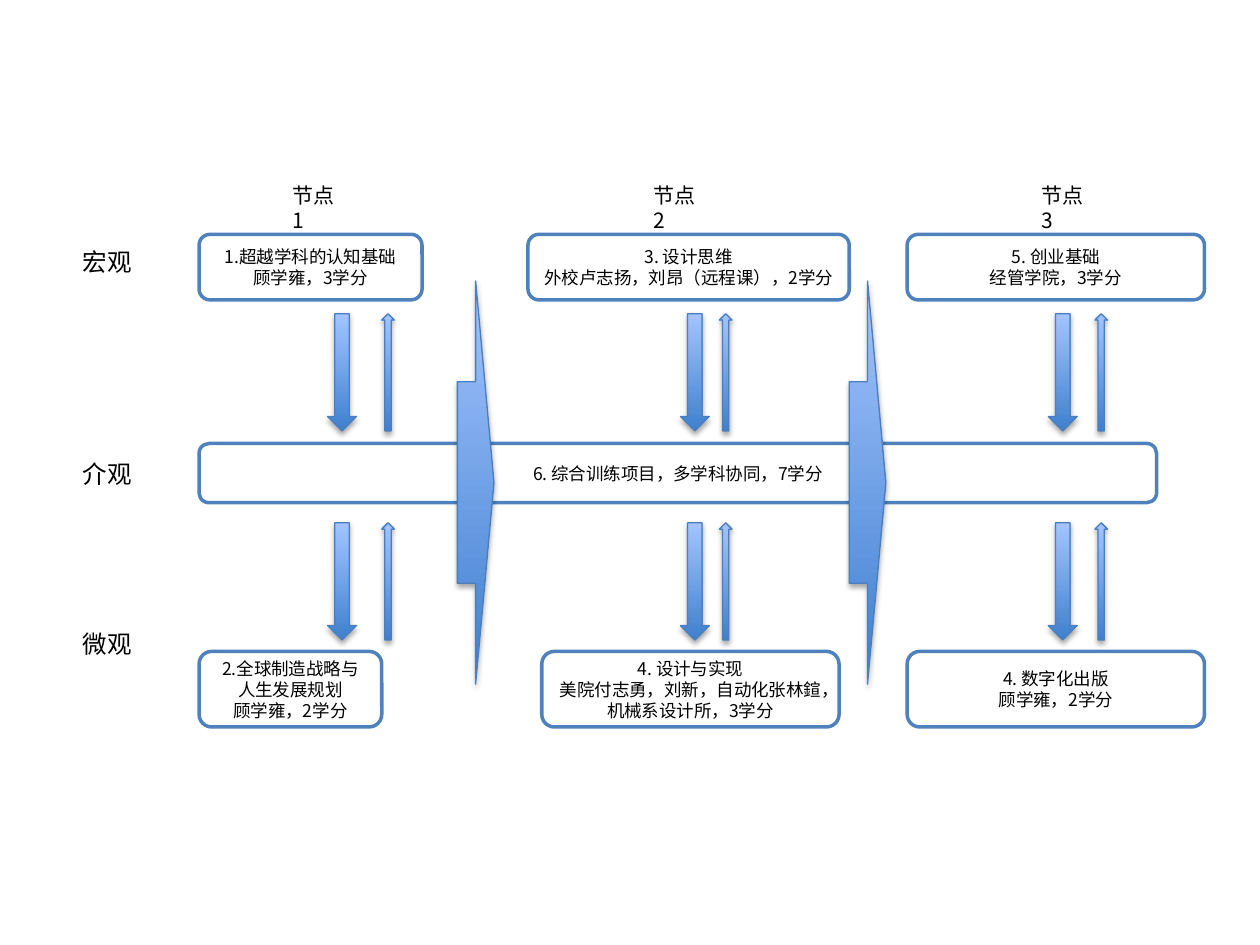
from lxml import etree
from pptx import Presentation
from pptx.dml.color import RGBColor
from pptx.enum import shapes, text
from pptx.oxml import ns
from pptx.util import Inches, Pt

FONT = "Noto Sans CJK SC"
MACRO_TOP, MESO_TOP, MICRO_TOP = 1.86, 3.52, 5.17
MACRO_HEIGHT, MESO_HEIGHT, MICRO_HEIGHT = 0.52, 0.47, 0.6
ARROW_TOPS = (2.49, 4.15)


def color(value):
    return RGBColor.from_string(value)


def write(frame, lines, size, alignment):
    for index, line in enumerate(lines):
        paragraph = frame.paragraphs[0] if index == 0 else frame.add_paragraph()
        paragraph.alignment = alignment
        run = paragraph.add_run()
        run.text = line
        run.font.size = Pt(size)
        run.font.color.rgb = color("000000")
        run.font.name = FONT
        east_asian = etree.SubElement(run.font._element, ns.qn("a:ea"))
        east_asian.set("typeface", FONT)


def add_label(slide, left, top, width, height, label, size, wrap):
    box = slide.shapes.add_textbox(*map(Inches, (left, top, width, height)))
    box.text_frame.word_wrap = wrap
    write(box.text_frame, [label], size, text.PP_ALIGN.LEFT)


def add_course(slide, left, top, width, height, lines):
    course = slide.shapes.add_shape(
        shapes.MSO_SHAPE.ROUNDED_RECTANGLE,
        *map(Inches, (left, top, width, height)))
    course.shadow.inherit = False
    course.fill.solid()
    course.fill.fore_color.rgb = color("FFFFFF")
    course.line.color.rgb = color("4F81BD")
    course.line.width = Pt(2)
    course.text_frame.word_wrap = True
    course.text_frame.vertical_anchor = text.MSO_ANCHOR.MIDDLE
    write(course.text_frame, lines, 10, text.PP_ALIGN.CENTER)


def add_arrow(slide, kind, left, top, width, height):
    arrow = slide.shapes.add_shape(kind, *map(Inches, (left, top, width, height)))
    arrow.fill.gradient()
    arrow.fill.gradient_angle = 90
    for stop, value in zip(arrow.fill.gradient_stops, ("3F80CE", "A4C4FF")):
        stop.color.rgb = color(value)
    arrow.line.color.rgb = color("4B7EBC")
    arrow.line.width = Pt(0.75)
    arrow.shadow.inherit = False
    effects = arrow._element.spPr.find(ns.qn("a:effectLst"))
    shadow = etree.SubElement(
        effects, ns.qn("a:outerShdw"), blurRad=str(Pt(3.1)), dist=str(Pt(1.8)),
        dir="5400000", rotWithShape="0")
    black = etree.SubElement(shadow, ns.qn("a:srgbClr"), val="000000")
    etree.SubElement(black, ns.qn("a:alpha"), val="35000")


def add_node(slide, label, label_left, macro, micro, down_left, up_left):
    add_label(slide, label_left, 1.4, 0.6, 0.3, label, 12, True)
    for (left, width, lines), top, height in (
            (macro, MACRO_TOP, MACRO_HEIGHT), (micro, MICRO_TOP, MICRO_HEIGHT)):
        add_course(slide, left, top, width, height, lines)
    for top in ARROW_TOPS:
        add_arrow(slide, shapes.MSO_SHAPE.DOWN_ARROW, down_left, top, 0.23, 0.93)
        add_arrow(slide, shapes.MSO_SHAPE.UP_ARROW, up_left, top, 0.1, 0.93)


def build_slide(presentation):
    slide = presentation.slides.add_slide(presentation.slide_layouts[6])
    for label, top in (("宏观", 1.91), ("介观", 3.59), ("微观", 4.94)):
        add_label(slide, 0.56, top, 0.59, 0.34, label, 14, False)

    add_course(slide, 1.58, MESO_TOP, 7.6, MESO_HEIGHT,
               ["6. 综合训练项目，多学科协同，7学分"])
    nodes = (
        ("节点1", 2.22,
         (1.58, 1.77, ["1.超越学科的认知基础", "顾学雍，3学分"]),
         (1.58, 1.45, ["2.全球制造战略与人生发展规划", "顾学雍，2学分"]),
         2.6, 3.03),
        ("节点2", 5.09,
         (4.19, 2.55, ["3. 设计思维", "外校卢志扬，刘昂（远程课），2学分"]),
         (4.3, 2.36, ["4. 设计与实现",
                      "美院付志勇，刘新，自动化张林鍹，机械系设计所，3学分"]),
         5.4, 5.71),
        ("节点3", 8.17,
         (7.2, 2.36, ["5. 创业基础", "经管学院，3学分"]),
         (7.2, 2.36, ["4. 数字化出版", "顾学雍，2学分"]),
         8.32, 8.69),
    )
    for node in nodes:
        add_node(slide, *node)
    for left in (3.63, 6.74):
        add_arrow(slide, shapes.MSO_SHAPE.RIGHT_ARROW, left, 2.23, 0.29, 3.2)


presentation = Presentation()
presentation.slide_width = Inches(10)
presentation.slide_height = Inches(7.5)
build_slide(presentation)
presentation.save("out.pptx")
